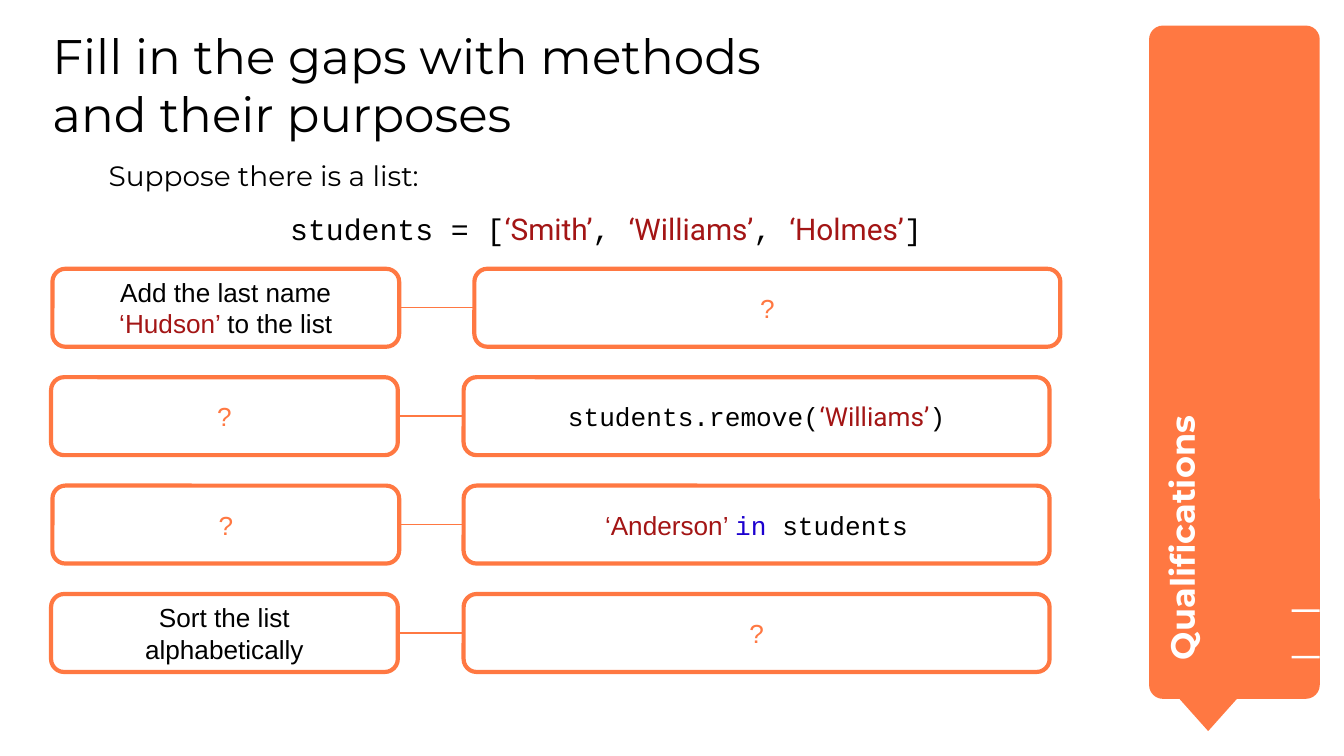
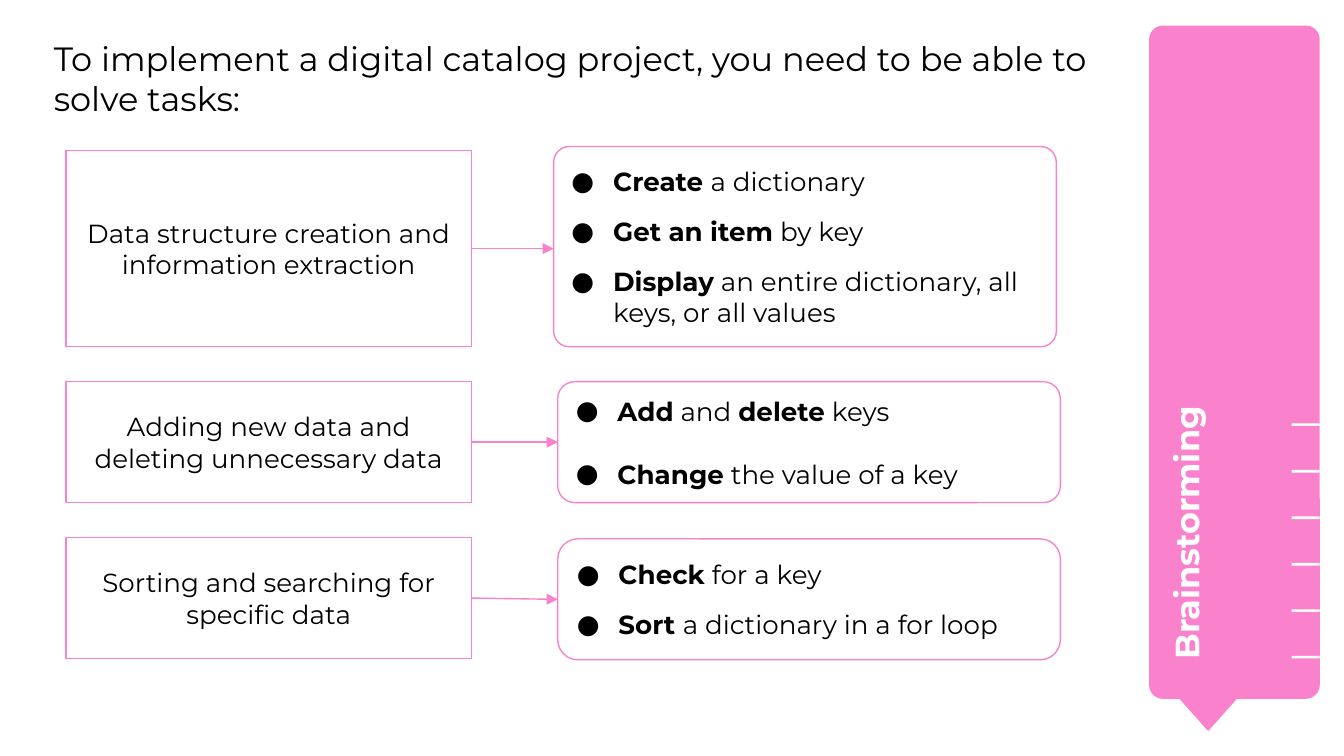
import pptx
import pptx.dml.color
import pptx.enum.shapes
import pptx.enum.text
import pptx.oxml.ns
import pptx.util
from dataclasses import dataclass, replace
from lxml import etree

Inches = pptx.util.Inches
Pt = pptx.util.Pt
qn = pptx.oxml.ns.qn
SHAPES = pptx.enum.shapes.MSO_SHAPE
ALIGN = pptx.enum.text.PP_ALIGN
ANCHOR = pptx.enum.text.MSO_ANCHOR


@dataclass(frozen=True)
class Style:
    font: str
    size: int
    color: str = "000000"
    bold: bool = False


@dataclass(frozen=True)
class Box:
    left: float
    top: float
    width: float
    height: float

    def lengths(self):
        return [Inches(n) for n in (self.left, self.top, self.width, self.height)]


class Theme:
    WHITE, BLACK = "FFFFFF", "000000"
    ORANGE, PINK = "FF7842", "FA82CC"
    STRING, KEYWORD = "A31515", "1C00CF"
    HEADING = Style("Montserrat", 26)
    SUBHEADING = Style("Montserrat", 18)
    BAND_LABEL = Style("Montserrat", 18, WHITE, True)
    INTRO = Style("Montserrat", 15)
    BODY = Style("Montserrat", 14)
    STRONG = replace(BODY, bold=True)
    PLAIN = Style("Arial", 14)
    PLAIN_STRING = replace(PLAIN, color=STRING)
    GAP = replace(PLAIN, color=ORANGE)
    CODE = Style("Courier New", 14)
    CODE_KEYWORD = replace(CODE, color=KEYWORD)
    CODE_STRING = Style("Roboto", 14, STRING)
    LIST_CODE = replace(CODE, size=16)
    LIST_STRING = replace(CODE_STRING, size=16)
    THIN, THICK = 0.75, 2.25


def rgb(color):
    return pptx.dml.color.RGBColor.from_string(color)


# Text
def prepare_frame(frame, anchor=ANCHOR.TOP, inset=0.1):
    frame.word_wrap = True
    frame.auto_size = pptx.enum.text.MSO_AUTO_SIZE.NONE
    frame.vertical_anchor = anchor
    frame.margin_left = frame.margin_right = Inches(inset)
    frame.margin_top = frame.margin_bottom = Inches(inset)


def add_bullet(paragraph):
    properties = paragraph._p.get_or_add_pPr()
    properties.set("marL", str(Inches(0.31)))
    properties.set("indent", str(Inches(-0.35)))
    color = etree.SubElement(properties, qn("a:buClr"))
    etree.SubElement(color, qn("a:srgbClr"), val=Theme.BLACK)
    etree.SubElement(properties, qn("a:buFont"), typeface=Theme.BODY.font)
    etree.SubElement(properties, qn("a:buChar"), char="●")


def write(frame, paragraphs, align=ALIGN.LEFT, gap=0, bullets=False):
    """Each paragraph is a list of (text, style) runs."""
    for index, runs in enumerate(paragraphs):
        paragraph = frame.add_paragraph() if index else frame.paragraphs[0]
        paragraph.alignment = align
        paragraph.space_before = Pt(gap if index else 0)
        if bullets:
            add_bullet(paragraph)
        for text, style in runs:
            run = paragraph.add_run()
            run.text = text
            run.font.name = style.font
            run.font.size = Pt(style.size)
            run.font.bold = style.bold
            run.font.color.rgb = rgb(style.color)


def add_title(slide, box, paragraphs, inset):
    title = slide.shapes.title
    title.left, title.top, title.width, title.height = box.lengths()
    prepare_frame(title.text_frame, inset=inset)
    write(title.text_frame, paragraphs)


def add_text_box(slide, box):
    text_box = slide.shapes.add_textbox(*box.lengths())
    prepare_frame(text_box.text_frame)
    return text_box


# Shapes
def add_filled(shapes, kind, box, fill, corner=None):
    shape = shapes.add_shape(kind, *box.lengths())
    shape.shadow.inherit = False
    shape.fill.solid()
    shape.fill.fore_color.rgb = rgb(fill)
    shape.line.fill.background()
    if corner is not None:
        shape.adjustments[0] = corner
    return shape


def add_card(slide, box, color, width, paragraphs, corner=None,
             align=ALIGN.CENTER, gap=0, bullets=False):
    kind = SHAPES.RECTANGLE if corner is None else SHAPES.ROUNDED_RECTANGLE
    card = add_filled(slide.shapes, kind, box, Theme.WHITE, corner)
    card.line.color.rgb = rgb(color)
    card.line.width = Pt(width)
    prepare_frame(card.text_frame, ANCHOR.MIDDLE)
    write(card.text_frame, paragraphs, align, gap, bullets)
    return card


def connect(slide, start, end, color, arrow=False):
    """Level line from the right side of start to the left side of end."""
    middle = start.top + start.height // 2
    connector = slide.shapes.add_connector(
        pptx.enum.shapes.MSO_CONNECTOR.STRAIGHT,
        start.left + start.width, middle, end.left, middle)
    connector.begin_connect(start, 3)
    if abs(end.top + end.height // 2 - middle) <= Inches(0.01):
        connector.end_connect(end, 1)
    connector.line.color.rgb = rgb(color)
    connector.line.width = Pt(Theme.THIN)
    properties = connector._element.spPr
    if arrow:
        etree.SubElement(properties.find(qn("a:ln")), qn("a:tailEnd"), type="triangle")
    etree.SubElement(properties, qn("a:effectLst"))


# Side band: bookmark, vertical label and ruler ticks counted from the bottom
def add_band(slide, box, color, label, label_box, tick_count):
    bookmark = slide.shapes.add_group_shape()
    add_filled(bookmark.shapes, SHAPES.ROUNDED_RECTANGLE, box, color, 0.081)
    pointer = Box(box.left + 0.11, box.top + box.height - 0.13, 0.66, 0.37)
    add_filled(bookmark.shapes, SHAPES.FLOWCHART_MERGE, pointer, color)

    text_box = add_text_box(slide, label_box)
    text_box.rotation = 270
    write(text_box.text_frame, [[(label, Theme.BAND_LABEL)]])

    tick_step = 1.73 / 5
    for index in range(tick_count):
        tick = Box(box.left + box.width - 0.21,
                   box.top + 4.69 - index * tick_step, 0.21, 0.02)
        add_filled(slide.shapes, SHAPES.RECTANGLE, tick, Theme.WHITE)


BAND = Box(8.55, 0.19, 1.27, 5.01)


# Slide 1: purposes matched with methods
def add_intro(slide, box):
    code, string = Theme.LIST_CODE, Theme.LIST_STRING
    frame = add_text_box(slide, box).text_frame
    write(frame, [
        [("Suppose there is a list:", Theme.INTRO)],
        [("students = [", code), ("‘Smith’", string), (", ", code),
         ("‘Williams’", string), (", ", code), ("‘Holmes’", string), ("]", code)],
    ], gap=10)
    frame.paragraphs[1].alignment = ALIGN.CENTER


def add_matches(slide, box):
    gap = [[("?", Theme.GAP)]]
    # left shift, purpose, method's left, method
    rows = [
        (0.01, [[("Add the last name ", Theme.PLAIN), ("‘Hudson’ ", Theme.PLAIN_STRING),
                 ("to the list", Theme.PLAIN)]], 3.15, gap),
        (0, gap, 3.07, [[("students.remove(", Theme.CODE),
                         ("‘Williams’", Theme.CODE_STRING), (")", Theme.CODE)]]),
        (0.01, gap, 3.07, [[("‘Anderson’ ", Theme.PLAIN_STRING),
                            ("in", Theme.CODE_KEYWORD), (" students", Theme.CODE)]]),
        (0, [[("Sort the list", Theme.PLAIN)], [("alphabetically", Theme.PLAIN)]],
         3.07, gap),
    ]
    height = 0.58
    step = (box.height - height) / (len(rows) - 1)
    for index, (shift, purpose, method_left, method) in enumerate(rows):
        top = box.top + index * step
        start, end = [
            add_card(slide, Box(box.left + left, top, width, height),
                     Theme.ORANGE, Theme.THICK, text, 0.167)
            for left, width, text in ((shift, 2.58, purpose), (method_left, 4.36, method))]
        connect(slide, start, end, Theme.ORANGE)


def build_gaps_slide(slide):
    add_title(slide, Box(0.39, 0.19, 7.9, 0.95), [
        [("Fill in the gaps with methods", Theme.HEADING)],
        [("and their purposes", Theme.HEADING)]], inset=0)
    add_band(slide, BAND, Theme.ORANGE, "Qualifications",
             Box(7.09, 2.64, 3.82, 0.92), tick_count=2)
    add_intro(slide, Box(0.71, 1.08, 7.6, 0.53))
    add_matches(slide, Box(0.38, 2, 7.51, 3))


# Slide 2: tasks with their operations
def add_tasks(slide, box):
    body, strong = Theme.BODY, Theme.STRONG
    # task, its top and height, operations' box, corner and paragraph gap
    rows = [
        ("Data structure creation and information extraction", 0.03, 1.46,
         Box(3.63, 0, 3.74, 1.49), 0.078, 10,
         [[("Create ", strong), ("a dictionary", body)],
          [("Get an item", strong), (" by key", body)],
          [("Display", strong), (" an entire dictionary, all keys, or all values", body)]]),
        ("Adding new data and deleting unnecessary data", 1.75, 0.9,
         Box(3.66, 1.75, 3.74, 0.9), 0.14, 17,
         [[("Add", strong), (" and ", body), ("delete", strong), (" keys", body)],
          [("Change", strong), (" the value of a key", body)]]),
        ("Sorting and searching for specific data", 2.91, 0.9,
         Box(3.66, 2.92, 3.74, 0.9), 0.167, 10,
         [[("Check", strong), (" for a key", body)],
          [("Sort ", strong), ("a dictionary in a for loop", body)]]),
    ]
    for task, top, height, place, corner, gap, operations in rows:
        start = add_card(slide, Box(box.left, box.top + top, 3.02, height),
                         Theme.PINK, Theme.THIN, [[(task, body)]])
        place = replace(place, left=box.left + place.left, top=box.top + place.top)
        end = add_card(slide, place, Theme.PINK, Theme.THIN, operations, corner,
                       ALIGN.LEFT, gap, bullets=True)
        connect(slide, start, end, Theme.PINK, arrow=True)


def build_tasks_slide(slide):
    add_title(slide, Box(0.3, 0.18, 8.15, 0.9), [
        [("To implement a digital catalog project, you need to be able to solve tasks:",
          Theme.SUBHEADING)]], inset=0.1)
    add_band(slide, BAND, Theme.PINK, "Brainstorming",
             Box(7.14, 2.9, 3.54, 0.67), tick_count=6)
    add_tasks(slide, Box(0.49, 1.09, 7.4, 3.82))


def main():
    presentation = pptx.Presentation()
    presentation.slide_width = Inches(10)
    presentation.slide_height = Inches(10 * 9 / 16)
    title_only = presentation.slide_layouts[5]
    for build in (build_gaps_slide, build_tasks_slide):
        build(presentation.slides.add_slide(title_only))
    presentation.save("out.pptx")


if __name__ == "__main__":
    main()
